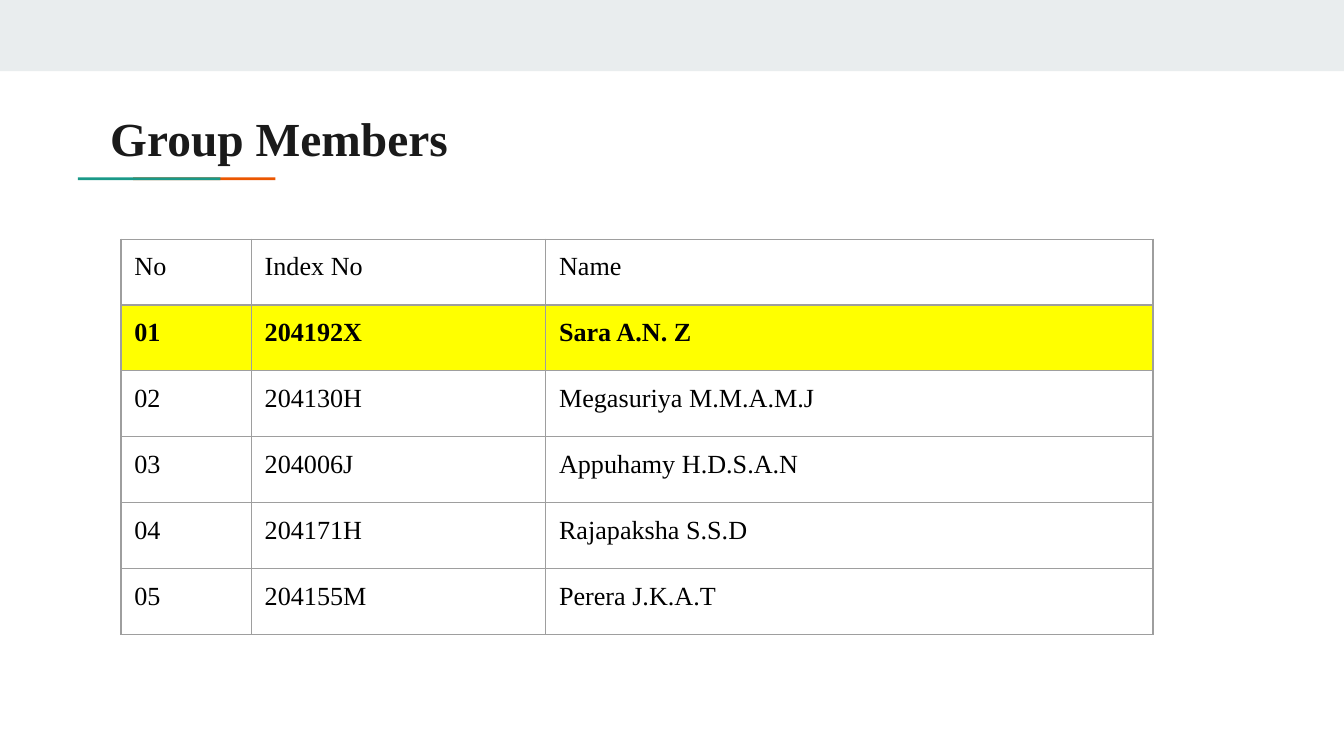
"""Build the Group Members slide: a title with an accent rule and a member table."""
from lxml.etree import SubElement
from pptx import Presentation
from pptx.dml.color import RGBColor
from pptx.enum.shapes import MSO_SHAPE as Shape
from pptx.enum.text import MSO_ANCHOR as Anchor, MSO_AUTO_SIZE as AutoSize, PP_ALIGN as Align
from pptx.oxml.ns import qn
from pptx.util import Inches, Pt

TITLE = "Group Members"
MEMBERS = [
    ("No", "Index No", "Name"),
    ("01", "204192X", "Sara A.N. Z"),
    ("02", "204130H", "Megasuriya M.M.A.M.J"),
    ("03", "204006J", "Appuhamy H.D.S.A.N"),
    ("04", "204171H", "Rajapaksha S.S.D"),
    ("05", "204155M", "Perera J.K.A.T"),
]
HIGHLIGHTED = 1
COLORS = {"band": "E9EDEE", "orange": "EB5600", "teal": "1A9988", "title": "1A1A1A",
          "text": "000000", "highlight": "FFFF00", "border": "9E9E9E"}
FONT = "Times New Roman"
WIDTH = 10
HEIGHT = WIDTH * 9 / 16
MARGIN = Inches(0.1)
COLUMNS, ROW = (0.97, 2.19, 4.52), 0.49
TABLE_LEFT, TABLE_TOP = 0.9, 1.78
RULE_LEFT, RULE_TOP, RULE_WIDTH, RULE_STEP = 0.58, 1.32, 1.06, 0.41


def rgb(name):
    return RGBColor.from_string(COLORS[name])


def add_bar(slide, color, *box):
    bar = slide.shapes.add_shape(Shape.RECTANGLE, *map(Inches, box))
    bar.shadow.inherit = False
    bar.fill.solid()
    bar.fill.fore_color.rgb = rgb(color)
    bar.line.fill.background()


def set_margins(holder):
    holder.margin_left = holder.margin_right = MARGIN
    holder.margin_top = holder.margin_bottom = MARGIN
    holder.vertical_anchor = Anchor.TOP


def style_text(paragraph, size, color, bold):
    paragraph.alignment = Align.LEFT
    font = paragraph.font
    font.name, font.size, font.bold = FONT, Pt(size), bold
    font.color.rgb = rgb(color)


def add_title(slide):
    title = slide.shapes.title
    title.left, title.top, title.width, title.height = map(Inches, (0.72, 0.71, 2.94, 0.59))
    frame = title.text_frame
    frame.text = TITLE
    frame.word_wrap, frame.auto_size = True, AutoSize.NONE
    set_margins(frame)
    style_text(frame.paragraphs[0], 25.4, "title", True)


def add_borders(cell):
    properties = cell._tc.get_or_add_tcPr()
    for position, side in enumerate(("lnL", "lnR", "lnT", "lnB")):
        line = SubElement(properties, qn(f"a:{side}"), w=str(Pt(0.75)))
        fill = SubElement(line, qn("a:solidFill"))
        SubElement(fill, qn("a:srgbClr"), val=COLORS["border"])
        properties.insert(position, line)


def add_members(slide):
    table = slide.shapes.add_table(
        len(MEMBERS), len(COLUMNS), Inches(TABLE_LEFT), Inches(TABLE_TOP),
        Inches(sum(COLUMNS)), Inches(ROW * len(MEMBERS))).table
    table.first_row = table.horz_banding = False
    for column, width in zip(table.columns, COLUMNS):
        column.width = Inches(width)
    for index, (row, member) in enumerate(zip(table.rows, MEMBERS)):
        row.height = Inches(ROW)
        highlighted = index == HIGHLIGHTED
        for cell, value in zip(row.cells, member):
            cell.text = value
            set_margins(cell)
            style_text(cell.text_frame.paragraphs[0], 14, "text", highlighted)
            if highlighted:
                cell.fill.solid()
                cell.fill.fore_color.rgb = rgb("highlight")
            else:
                cell.fill.background()
            add_borders(cell)


def main():
    deck = Presentation()
    deck.slide_width, deck.slide_height = Inches(WIDTH), Inches(HEIGHT)
    slide = deck.slides.add_slide(deck.slide_layouts[5])
    add_bar(slide, "band", 0, 0, WIDTH, 0.53)
    for step, color in ((1, "orange"), (0, "teal")):
        add_bar(slide, color, RULE_LEFT + step * RULE_STEP, RULE_TOP, RULE_WIDTH, 0.02)
    add_title(slide)
    add_members(slide)
    deck.save("out.pptx")


if __name__ == "__main__":
    main()
